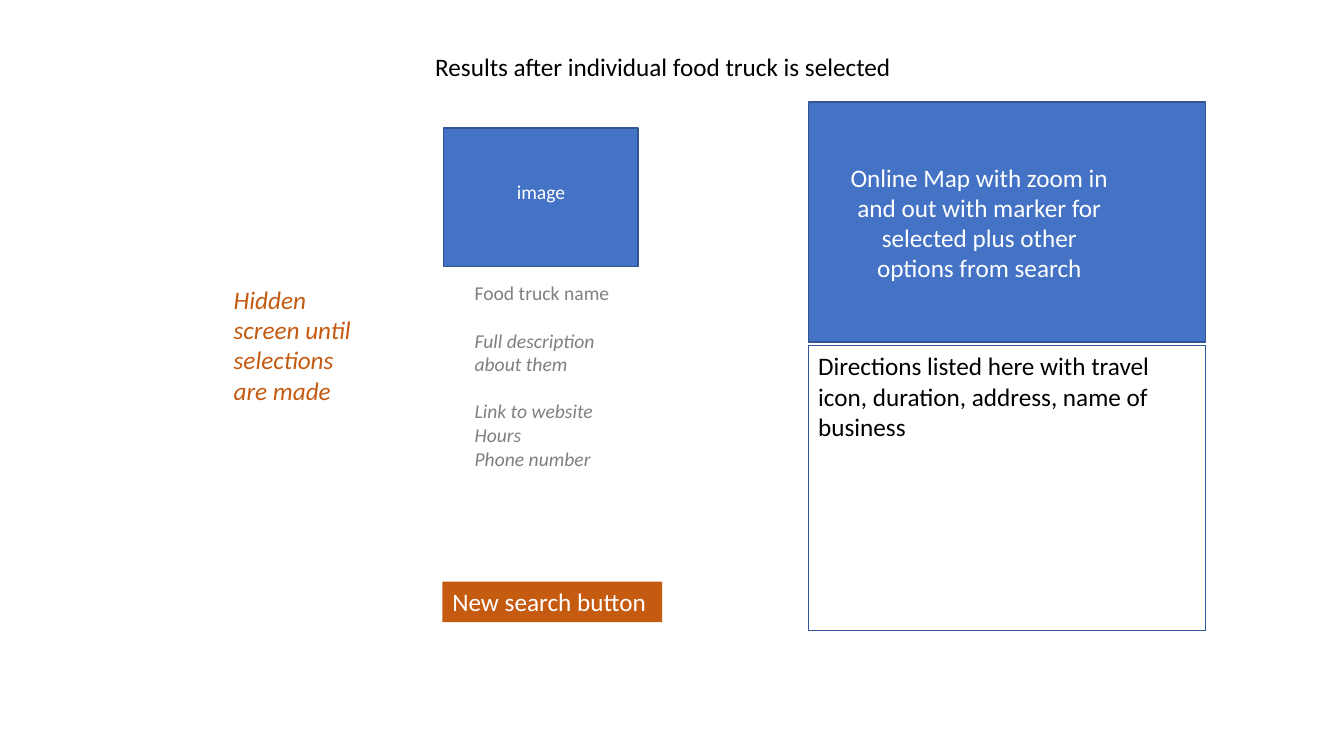
from dataclasses import dataclass
from typing import Optional

from pptx import Presentation
from pptx.dml.color import RGBColor
from pptx.enum.shapes import MSO_SHAPE
from pptx.enum.text import MSO_ANCHOR, MSO_AUTO_SIZE, PP_ALIGN
from pptx.util import Cm, Pt

BLUE = "4472C4"
DARK_BLUE = "325491"
OUTLINE_BLUE = "2F5597"
ORANGE = "C55A11"
GREY = "808080"
WHITE = "FFFFFF"
BLACK = "000000"
CARD_LINE_GAP = 17


@dataclass(frozen=True)
class Box:
    left: float
    top: float
    width: float
    height: float


@dataclass(frozen=True)
class Line:
    text: str
    color: str
    size: int = 18
    italic: bool = False
    centered: bool = False
    gap: float = 0


@dataclass(frozen=True)
class Panel:
    box: Box
    fill: Optional[str] = None
    outline: Optional[str] = None
    outline_width: float = 1
    lines: tuple[Line, ...] = ()


@dataclass(frozen=True)
class Label:
    box: Box
    lines: tuple[Line, ...]


TITLE = Label(
    Box(2.08, 1.17, 29.26, 1.04),
    (Line("Results after individual food truck is selected", BLACK, centered=True),),
)

PAGE_ITEMS = (
    Panel(Box(20.37, 2.57, 10.01, 6.05), BLUE, DARK_BLUE),
    Label(
        Box(21.11, 3.96, 7.14, 3.33),
        (Line("Online Map with zoom in and out with marker for selected plus other "
              "options from search", WHITE, centered=True),),
    ),
    Panel(
        Box(20.37, 8.71, 10.01, 7.19), None, OUTLINE_BLUE, 0.75,
        (Line("Directions listed here with travel icon, duration, address, name of business", BLACK),),
    ),
    Panel(Box(11.15, 14.66, 5.54, 1.02), ORANGE, lines=(Line("New search button", WHITE),)),
    Label(
        Box(5.64, 7.04, 3.53, 3.33),
        (Line("Hidden screen until selections are made", ORANGE, italic=True),),
    ),
)

TRUCK_CARD_ITEMS = (
    Label(
        Box(11.71, 6.96, 4.01, 5.05),
        (
            Line("Food truck name", GREY, 14),
            Line("Full description about them", GREY, 14, True, gap=CARD_LINE_GAP),
            Line("Link to website", GREY, 14, True, gap=CARD_LINE_GAP),
            Line("Hours", GREY, 14, True),
            Line("Phone number", GREY, 14, True),
        ),
    ),
    Panel(Box(11.18, 3.23, 4.9, 3.48), BLUE, DARK_BLUE),
    Label(Box(12.24, 4.42, 2.79, 0.86), (Line("image", WHITE, 14, centered=True),)),
)


def rgb(color: str) -> RGBColor:
    return RGBColor.from_string(color)


def lengths(box: Box) -> tuple[Cm, Cm, Cm, Cm]:
    return Cm(box.left), Cm(box.top), Cm(box.width), Cm(box.height)


def write_lines(text_frame, lines: tuple[Line, ...]) -> None:
    text_frame.word_wrap = True
    text_frame.auto_size = MSO_AUTO_SIZE.NONE
    text_frame.vertical_anchor = MSO_ANCHOR.TOP
    for index, line in enumerate(lines):
        paragraph = text_frame.add_paragraph() if index else text_frame.paragraphs[0]
        paragraph.text = line.text
        paragraph.alignment = PP_ALIGN.CENTER if line.centered else PP_ALIGN.LEFT
        paragraph.line_spacing = 1.0
        paragraph.space_before = Pt(line.gap)
        paragraph.font.name = "Calibri"
        paragraph.font.size = Pt(line.size)
        paragraph.font.italic = line.italic
        paragraph.font.color.rgb = rgb(line.color)


def draw_panel(shapes, panel: Panel) -> None:
    shape = shapes.add_shape(MSO_SHAPE.RECTANGLE, *lengths(panel.box))
    shape.shadow.inherit = False
    if panel.fill:
        shape.fill.solid()
        shape.fill.fore_color.rgb = rgb(panel.fill)
    else:
        shape.fill.background()
    if panel.outline:
        shape.line.color.rgb = rgb(panel.outline)
        shape.line.width = Pt(panel.outline_width)
    else:
        shape.line.fill.background()
    write_lines(shape.text_frame, panel.lines)


def draw_items(shapes, items: tuple[Panel | Label, ...]) -> None:
    for item in items:
        if isinstance(item, Panel):
            draw_panel(shapes, item)
        else:
            write_lines(shapes.add_textbox(*lengths(item.box)).text_frame, item.lines)


def place_title(title, label: Label) -> None:
    title.left, title.top, title.width, title.height = lengths(label.box)
    write_lines(title.text_frame, label.lines)


def main() -> None:
    presentation = Presentation()
    presentation.slide_width = Cm(33.87)
    presentation.slide_height = Cm(19.05)
    title_only = presentation.slide_layouts.get_by_name("Title Only")
    slide = presentation.slides.add_slide(title_only)
    place_title(slide.shapes.title, TITLE)
    draw_items(slide.shapes, PAGE_ITEMS)
    draw_items(slide.shapes.add_group_shape().shapes, TRUCK_CARD_ITEMS)
    presentation.save("out.pptx")


if __name__ == "__main__":
    main()
